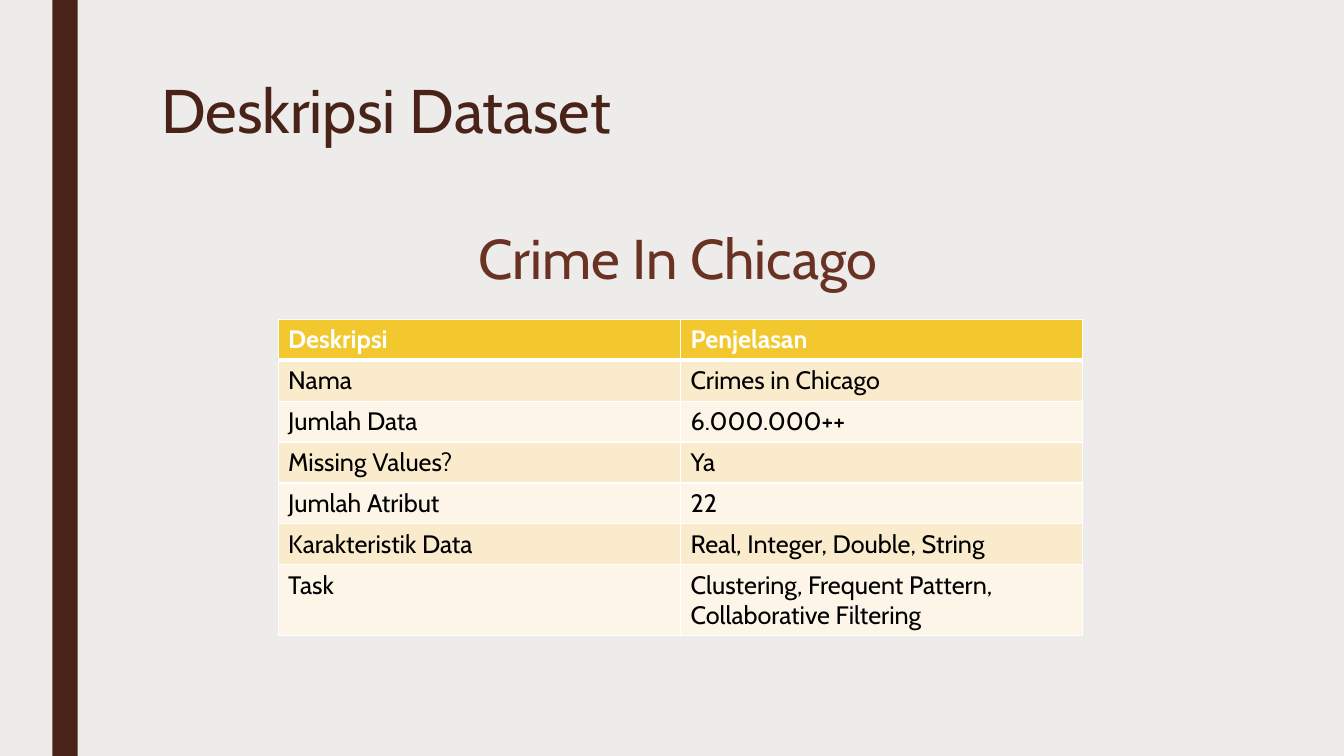
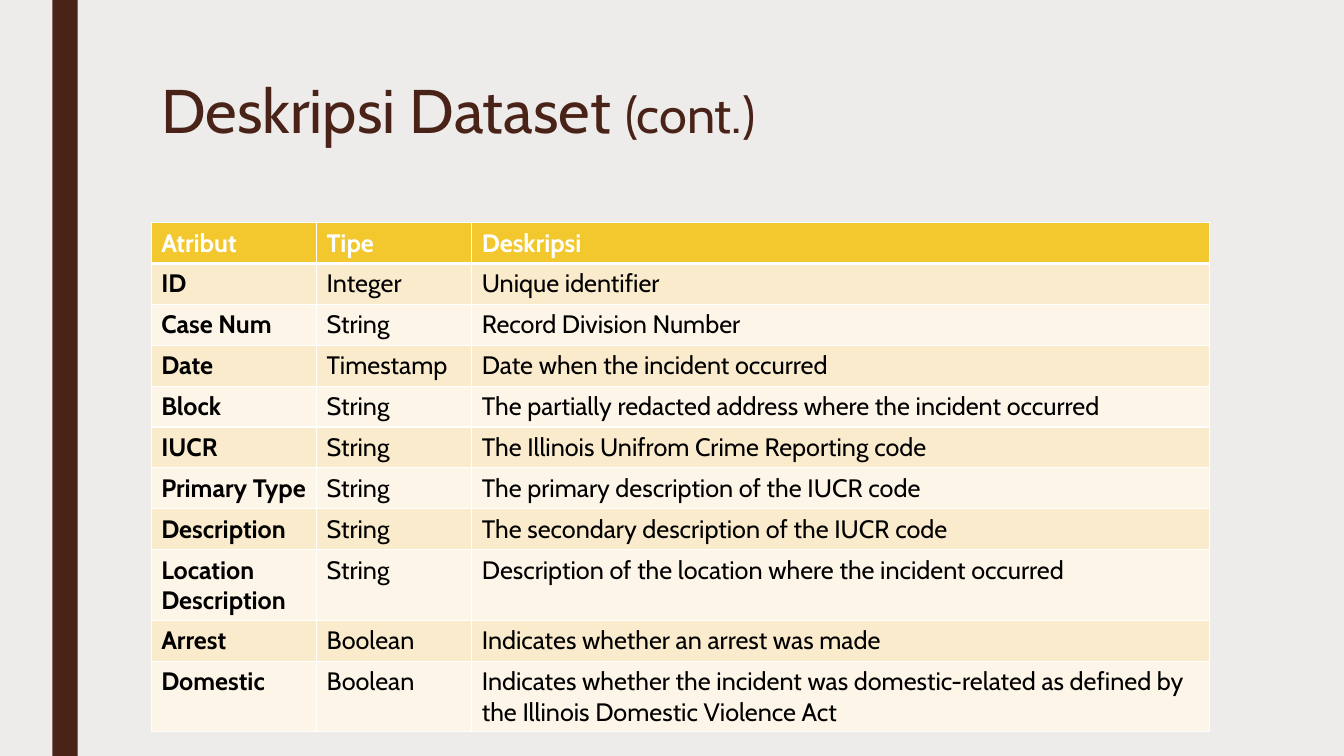
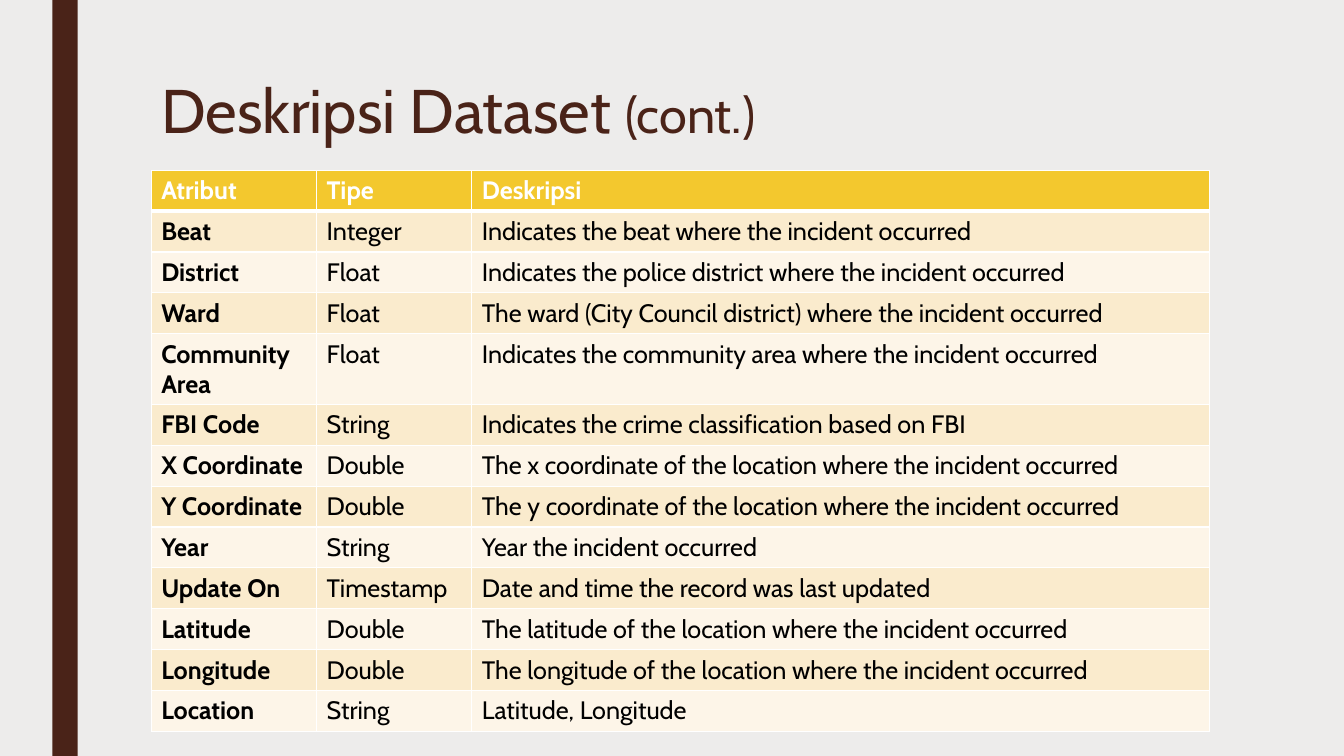
import lxml.etree
import pptx
import pptx.dml.color
import pptx.enum.shapes
import pptx.enum.text
import pptx.oxml.ns
import pptx.util

Cm = pptx.util.Cm
Pt = pptx.util.Pt
RGBColor = pptx.dml.color.RGBColor
qn = pptx.oxml.ns.qn

PAPER = RGBColor(0xED, 0xEC, 0xEB)
BROWN = RGBColor(0x4A, 0x23, 0x18)
RUST = RGBColor(0x69, 0x32, 0x22)
GOLD = RGBColor(0xF3, 0xC8, 0x2E)
SAND = RGBColor(0xFA, 0xEB, 0xCD)
CREAM = RGBColor(0xFD, 0xF5, 0xE8)
WHITE = RGBColor(0xFF, 0xFF, 0xFF)
BLACK = RGBColor(0x00, 0x00, 0x00)

ROW_HEIGHT = Cm(1.03)
TITLE = ("Deskripsi Dataset", 44)
CONTINUED = ("(cont.)", 36)
ATTRIBUTE_HEADER = ("Atribut", "Tipe", "Deskripsi")
ATTRIBUTE_WIDTHS = (4.17, 3.91, 18.59)

PAGES = [
    {
        "title": [TITLE],
        "subtitle": "Crime In Chicago",
        "left": 7.01, "top": 8.05, "widths": (10.14, 10.14), "bold_names": False,
        "rows": [
            ("Deskripsi", "Penjelasan"),
            ("Nama", "Crimes in Chicago"),
            ("Jumlah Data", "6.000.000++"),
            ("Missing Values?", "Ya"),
            ("Jumlah Atribut", "22"),
            ("Karakteristik Data", "Real, Integer, Double, String"),
            ("Task", "Clustering, Frequent Pattern, Collaborative Filtering"),
        ],
    },
    {
        "title": [(TITLE[0] + " ", TITLE[1]), CONTINUED],
        "subtitle": None,
        "left": 3.81, "top": 5.61, "widths": ATTRIBUTE_WIDTHS, "bold_names": True,
        "rows": [
            ATTRIBUTE_HEADER,
            ("ID", "Integer", "Unique identifier"),
            ("Case Num", "String", "Record Division Number"),
            ("Date", "Timestamp", "Date when the incident occurred"),
            ("Block", "String", "The partially redacted address where the incident occurred"),
            ("IUCR", "String", "The Illinois Unifrom Crime Reporting code"),
            ("Primary Type", "String", "The primary description of the IUCR code"),
            ("Description", "String", "The secondary description of the IUCR code"),
            ("Location Description", "String", "Description of the location where the incident occurred"),
            ("Arrest", "Boolean", "Indicates whether an arrest was made"),
            ("Domestic", "Boolean", "Indicates whether the incident was domestic-related as defined by "
                                    "the Illinois Domestic Violence Act"),
        ],
    },
    {
        "title": [(TITLE[0] + " ", TITLE[1]), CONTINUED],
        "subtitle": None,
        "left": 3.81, "top": 4.29, "widths": ATTRIBUTE_WIDTHS, "bold_names": True,
        "rows": [
            ATTRIBUTE_HEADER,
            ("Beat", "Integer", "Indicates the beat where the incident occurred"),
            ("District", "Float", "Indicates the police district where the incident occurred"),
            ("Ward", "Float", "The ward (City Council district) where the incident occurred"),
            ("Community Area", "Float", "Indicates the community area where the incident occurred"),
            ("FBI Code", "String", "Indicates the crime classification based on FBI"),
            ("X Coordinate", "Double", "The x coordinate of the location where the incident occurred"),
            ("Y Coordinate", "Double", "The y coordinate of the location where the incident occurred"),
            ("Year", "String", "Year the incident occurred"),
            ("Update On", "Timestamp", "Date and time the record was last updated"),
            ("Latitude", "Double", "The latitude of the location where the incident occurred"),
            ("Longitude", "Double", "The longitude of the location where the incident occurred"),
            ("Location", "String", "Latitude, Longitude"),
        ],
    },
]


def add_span(para, text, size, color, bold=False):
    span = para.add_run()
    span.text = text
    for name, value in {"name": "Cabin", "size": Pt(size), "bold": bold}.items():
        setattr(span.font, name, value)
    span.font.color.rgb = color


def add_border(cell, side, width):
    line = lxml.etree.SubElement(cell._tc.get_or_add_tcPr(), qn("a:" + side), w=str(Pt(width)))
    fill = lxml.etree.SubElement(line, qn("a:solidFill"))
    lxml.etree.SubElement(fill, qn("a:srgbClr"), val=str(WHITE))


deck = pptx.Presentation()
deck.slide_width = Cm(33.87)
deck.slide_height = Cm(19.05)
background = deck.slide_master.background.fill
background.solid()
background.fore_color.rgb = PAPER

for content in PAGES:
    page = deck.slides.add_slide(deck.slide_layouts[6])

    band = page.shapes.add_shape(
        pptx.enum.shapes.MSO_SHAPE.RECTANGLE, Cm(1.32), 0, Cm(0.64), deck.slide_height)
    band.shadow.inherit = False
    band.fill.solid()
    band.fill.fore_color.rgb = BROWN
    band.line.fill.background()

    title_box = page.shapes.add_textbox(Cm(3.81), Cm(1.91), Cm(26.67), Cm(4.11))
    title_box.text_frame.word_wrap = True
    title_para = title_box.text_frame.paragraphs[0]
    title_para.line_spacing = 0.89
    for text, size in content["title"]:
        add_span(title_para, text, size, BROWN)

    rows, widths = content["rows"], content["widths"]
    table = page.shapes.add_table(
        len(rows), len(widths), Cm(content["left"]), Cm(content["top"]),
        Cm(sum(widths)), ROW_HEIGHT * len(rows)).table
    table.horz_banding = False
    for column, width in zip(table.columns, widths):
        column.width = Cm(width)

    for row_index, row in enumerate(rows):
        table.rows[row_index].height = ROW_HEIGHT
        header = row_index == 0
        row_fill = GOLD if header else SAND if row_index % 2 else CREAM
        borders = {"lnL": 1, "lnR": 1, "lnT": 3 if row_index == 1 else 1, "lnB": 3 if header else 1}
        for column_index, text in enumerate(row):
            cell = table.cell(row_index, column_index)
            for side, width in borders.items():
                add_border(cell, side, width)
            cell.fill.solid()
            cell.fill.fore_color.rgb = row_fill
            bold = header or (content["bold_names"] and column_index == 0)
            add_span(cell.text_frame.paragraphs[0], text, 18, WHITE if header else BLACK, bold)

    if content["subtitle"]:
        subtitle_box = page.shapes.add_textbox(Cm(11.81), Cm(5.51), Cm(10.64), Cm(1.96))
        subtitle_box.text_frame.word_wrap = False
        subtitle_box.text_frame.auto_size = pptx.enum.text.MSO_AUTO_SIZE.SHAPE_TO_FIT_TEXT
        add_span(subtitle_box.text_frame.paragraphs[0], content["subtitle"], 40, RUST)

deck.save("out.pptx")
